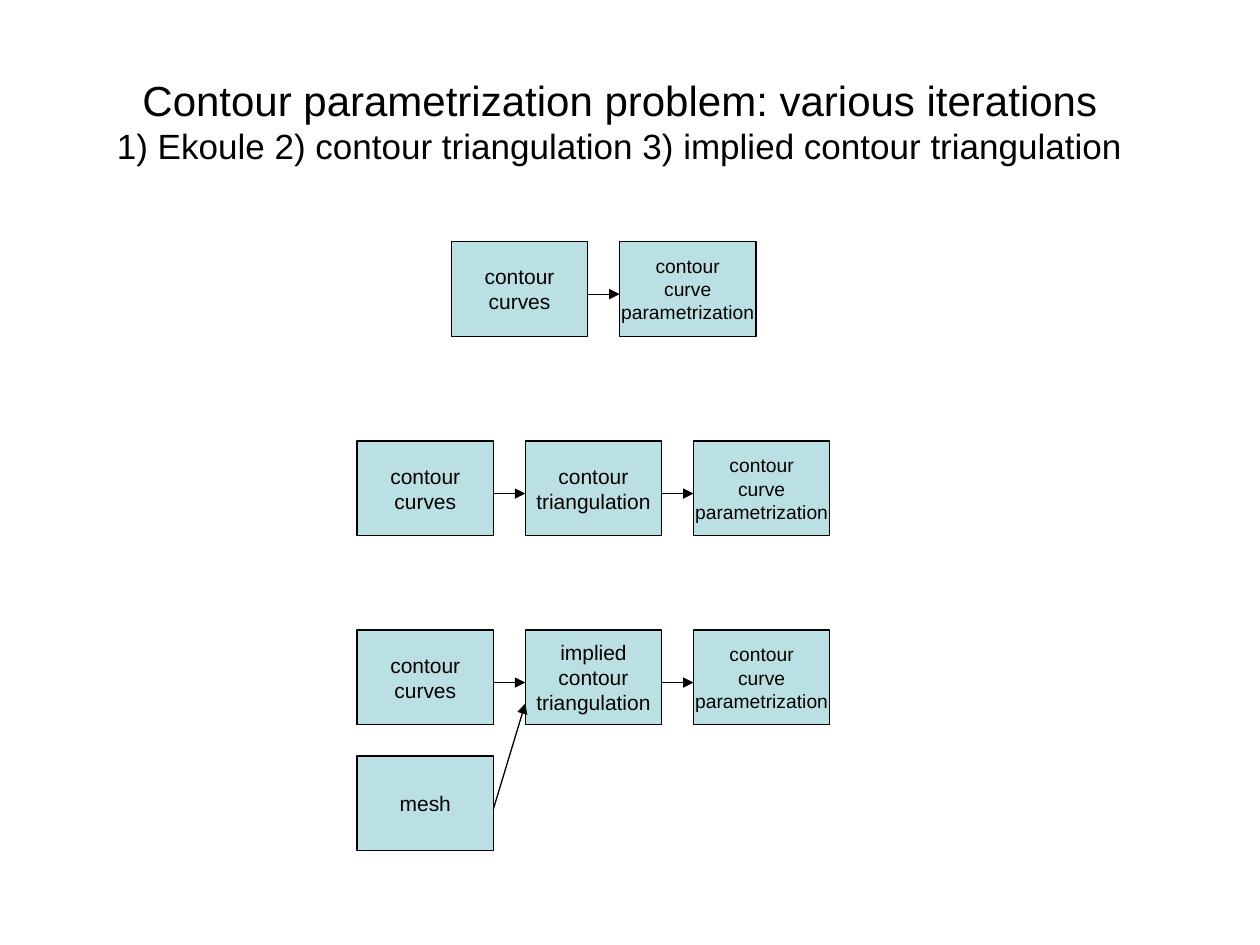
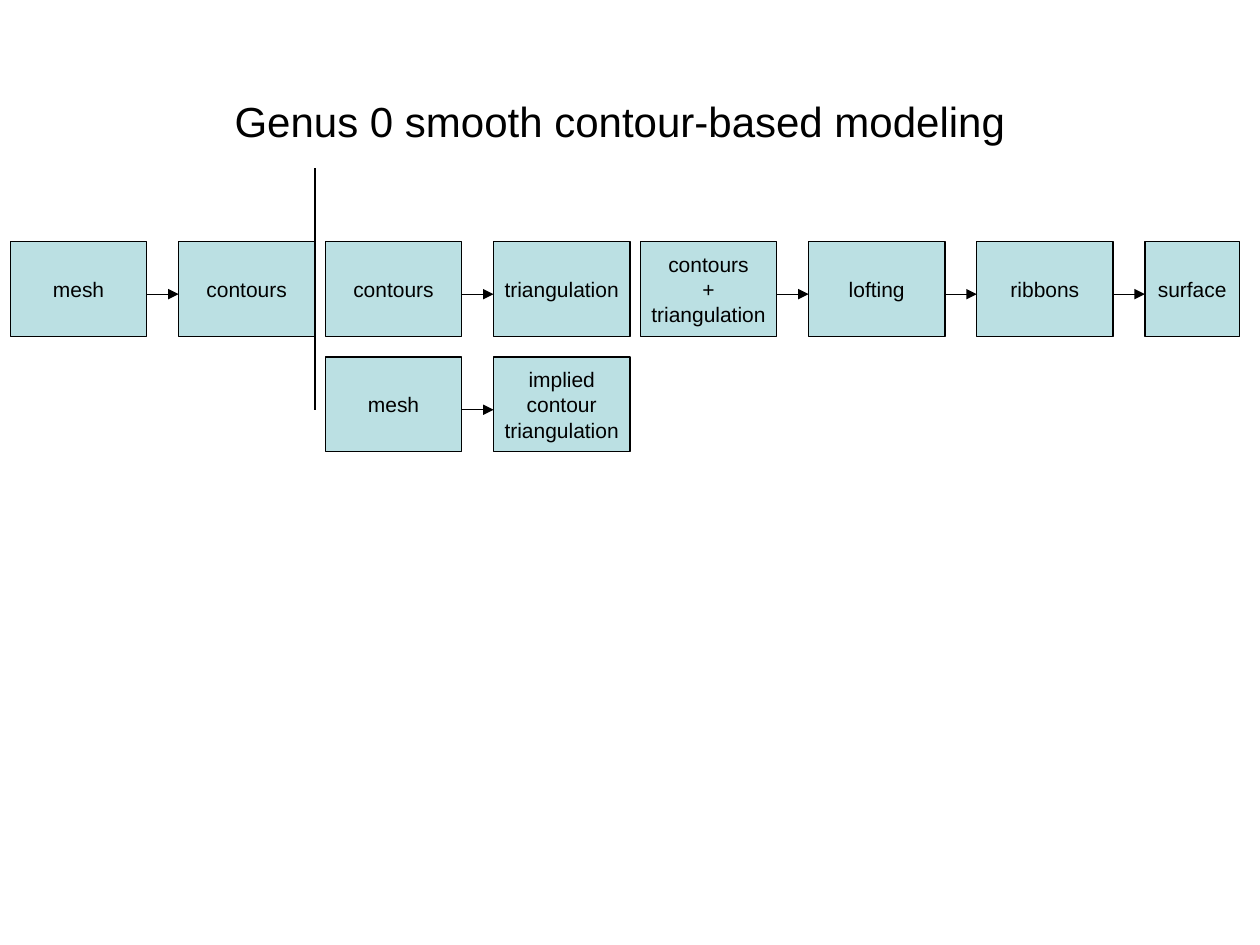
from dataclasses import dataclass

from lxml.etree import SubElement
from pptx import Presentation
from pptx.dml.color import RGBColor
from pptx.enum.shapes import MSO_CONNECTOR, MSO_SHAPE
from pptx.enum.text import MSO_ANCHOR, MSO_AUTO_SIZE, PP_ALIGN
from pptx.oxml.ns import qn
from pptx.slide import Slide
from pptx.util import Cm, Pt


@dataclass(frozen=True)
class Theme:
    font: str = "Arial"
    ink: RGBColor = RGBColor(0x00, 0x00, 0x00)
    box_fill: RGBColor = RGBColor(0xBB, 0xE0, 0xE3)
    title: Pt = Pt(24)
    subtitle: Pt = Pt(20)
    label: Pt = Pt(12)
    small_label: Pt = Pt(11)
    line: Pt = Pt(0.75)


@dataclass(frozen=True)
class Step:
    text: str
    size: Pt = Theme.label
    width: float = 2.75


@dataclass(frozen=True)
class Chain:
    """Steps joined by arrows, starting at left, top (cm)."""
    left: float
    top: float
    steps: tuple[Step, ...]


THEME = Theme()
BOX_HEIGHT = 1.91
BOX_WIDTH = 2.75
PITCH = 3.39
ARROW_DROP = 1.06  # arrows leave a little below the middle of a box

CURVES = Step("contour\ncurves")
PARAMETRIZATION = Step("contour\ncurve\nparametrization", THEME.small_label)
TRIANGULATION = Step("contour\ntriangulation")
IMPLIED = Step("implied\ncontour\ntriangulation")
MESH = Step("mesh")
CONTOURS = Step("contours")

ITERATIONS = (
    Chain(9.1, 4.87, (CURVES, PARAMETRIZATION)),
    Chain(7.2, 8.89, (CURVES, TRIANGULATION, PARAMETRIZATION)),
    Chain(7.2, 12.7, (CURVES, IMPLIED, PARAMETRIZATION)),
    Chain(7.2, 15.24, (MESH,)),
)
MODELING = (
    Chain(0.21, 4.87, (MESH, CONTOURS)),
    Chain(6.56, 4.87, (CONTOURS, Step("triangulation"))),
    Chain(6.56, 7.2, (MESH, IMPLIED)),
    Chain(12.91, 4.87, (Step("contours\n+\ntriangulation"), Step("lofting"),
                        Step("ribbons"), Step("surface", width=1.91))),
)


def set_font(p, size: Pt) -> None:
    p.alignment = PP_ALIGN.CENTER
    p.font.name = THEME.font
    p.font.size = size
    p.font.color.rgb = THEME.ink


def add_title(s: Slide, title: str, subtitle: str = "") -> None:
    sp = s.shapes.title
    sp.left, sp.top, sp.width, sp.height = Cm(1.7), Cm(0.84), Cm(21.59), Cm(3.18)
    tf = sp.text_frame
    tf.auto_size = MSO_AUTO_SIZE.NONE
    tf.vertical_anchor = MSO_ANCHOR.MIDDLE
    p = tf.paragraphs[0]
    set_font(p, THEME.title)
    p.add_run().text = title
    if subtitle:
        p.add_line_break()
        br = p._p.find(qn("a:br"))
        SubElement(br, qn("a:rPr"), sz=str(int(THEME.title.pt * 100)))
        r = p.add_run()
        r.text = subtitle
        r.font.size = THEME.subtitle


def add_box(s: Slide, left: float, top: float, step: Step) -> None:
    sp = s.shapes.add_shape(MSO_SHAPE.RECTANGLE, Cm(left), Cm(top),
                            Cm(step.width), Cm(BOX_HEIGHT))
    sp.shadow.inherit = False
    sp.fill.solid()
    sp.fill.fore_color.rgb = THEME.box_fill
    sp.line.color.rgb = THEME.ink
    sp.line.width = THEME.line
    tf = sp.text_frame
    tf.word_wrap = False
    tf.vertical_anchor = MSO_ANCHOR.MIDDLE
    tf.text = step.text
    for p in tf.paragraphs:
        set_font(p, step.size)


def add_line(s: Slide, x1: float, y1: float, x2: float, y2: float,
             arrow: bool = True) -> None:
    cn = s.shapes.add_connector(MSO_CONNECTOR.STRAIGHT,
                                Cm(x1), Cm(y1), Cm(x2), Cm(y2))
    cn.line.color.rgb = THEME.ink
    cn.line.width = THEME.line
    if arrow:
        SubElement(cn.line._get_or_add_ln(), qn("a:tailEnd"), type="triangle")
    SubElement(cn._element.spPr, qn("a:effectLst"))


def add_chain(s: Slide, chain: Chain) -> None:
    y = chain.top + ARROW_DROP
    for i, step in enumerate(chain.steps):
        left = chain.left + i * PITCH
        add_box(s, left, chain.top, step)
        if i:
            add_line(s, left - PITCH + BOX_WIDTH, y, left, y)


def add_chain_slide(prs: Presentation, chains: tuple[Chain, ...],
                    title: str, subtitle: str = "") -> Slide:
    s = prs.slides.add_slide(prs.slide_layouts.get_by_name("Title Only"))
    add_title(s, title, subtitle)
    for chain in chains:
        add_chain(s, chain)
    return s


def main() -> None:
    prs = Presentation()
    prs.slide_width, prs.slide_height = Cm(25.4), Cm(19.05)

    s = add_chain_slide(
        prs, ITERATIONS, "Contour parametrization problem: various iterations",
        "1) Ekoule 2) contour triangulation 3) implied contour triangulation")
    implied_row, mesh_row = ITERATIONS[2:]
    add_line(s, mesh_row.left + BOX_WIDTH, mesh_row.top + ARROW_DROP,
             implied_row.left + PITCH, implied_row.top + 1.48)

    s = add_chain_slide(prs, MODELING, "Genus 0 smooth contour-based modeling")
    divider_x = 6.35
    add_line(s, divider_x, 3.39, divider_x, 8.26, arrow=False)

    prs.save("out.pptx")


if __name__ == "__main__":
    main()
